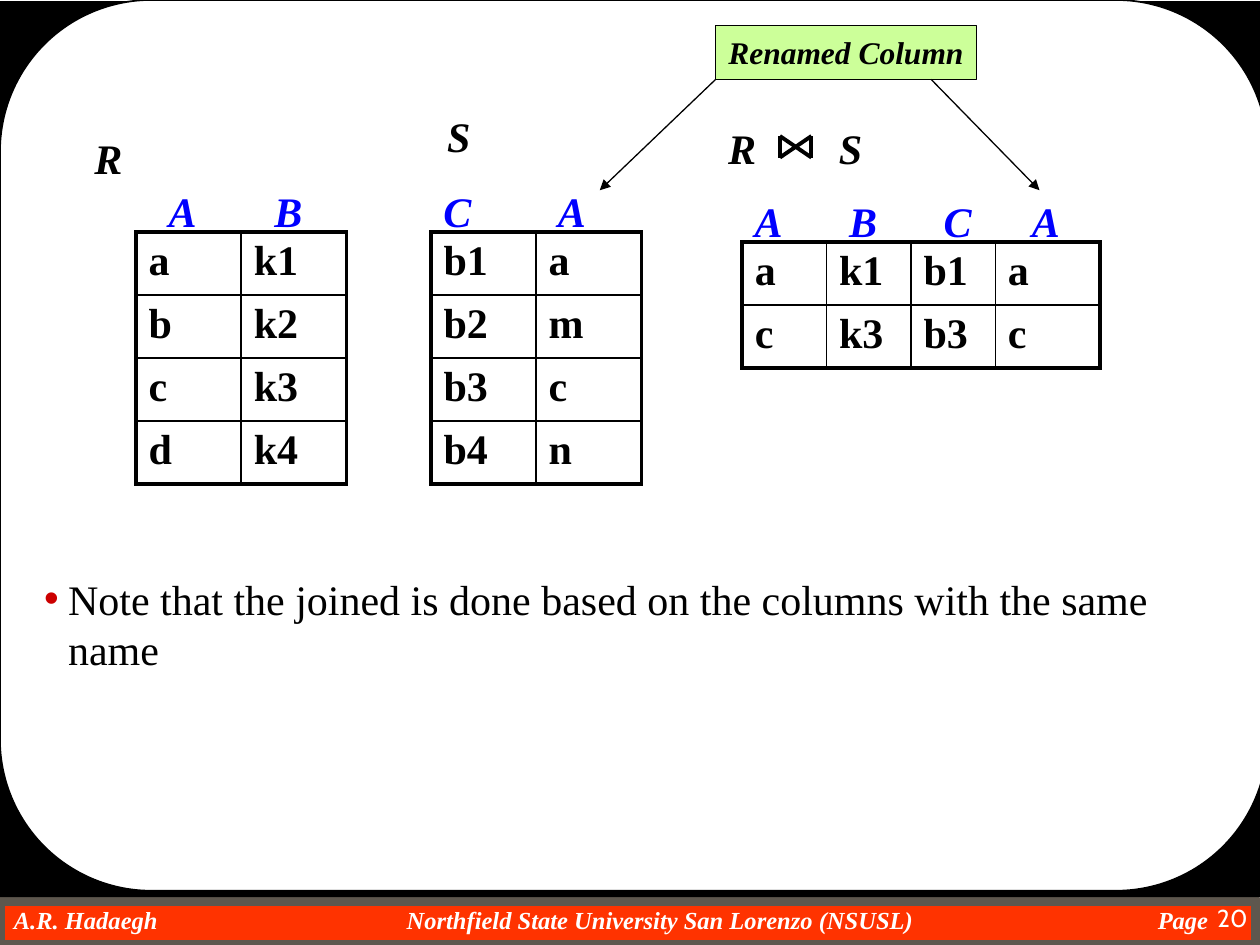
from lxml.etree import SubElement
from pptx import Presentation
from pptx.dml.color import RGBColor
from pptx.enum.shapes import MSO_CONNECTOR as Connector, MSO_SHAPE as Preset
from pptx.enum.text import MSO_ANCHOR as Anchor, MSO_AUTO_SIZE as AutoSize, PP_ALIGN as Align
from pptx.oxml import parse_xml
from pptx.oxml.ns import nsdecls, qn
from pptx.util import Inches, Pt

BLACK = RGBColor(0x00, 0x00, 0x00)
WHITE = RGBColor(0xFF, 0xFF, 0xFF)
BLUE = RGBColor(0x00, 0x00, 0xFF)
GREEN = RGBColor(0xCC, 0xFF, 0x99)
RED = RGBColor(0xFF, 0x33, 0x00)
BROWN = RGBColor(0x5E, 0x57, 0x4E)
BULLET = RGBColor(0xCC, 0x00, 0x00)
SERIF = "Times New Roman"

# The slide is a grid of 100 columns by 75 rows.
COLUMNS, ROWS = 100, 75
CELL = Inches(10) // COLUMNS
OUTER, INNER = 2.25, 1


def grid(*counts):
    """Turn counts of grid columns or rows into lengths."""
    return [round(count * CELL) for count in counts]


def write(frame, text, size=24, color=BLACK, bold=True, italic=True,
          font=SERIF, align=None, margin=None):
    """Put one formatted paragraph into a text frame and return it."""
    paragraph = frame.paragraphs[0]
    paragraph.alignment = align
    run = paragraph.add_run()
    run.text = text
    run.font.name, run.font.size = font, Pt(size)
    run.font.bold, run.font.italic = bold, italic
    run.font.color.rgb = color
    if margin is not None:
        frame.margin_left = frame.margin_right = margin
        frame.margin_top = frame.margin_bottom = margin
    return paragraph


def add_text(slide, box, text, wrap=False, **style):
    """Add a text box at a grid box and return its paragraph."""
    frame = slide.shapes.add_textbox(*grid(*box)).text_frame
    frame.word_wrap = wrap
    return write(frame, text, **style)


def add_box(slide, box, fill, line=None, width=1, preset=Preset.RECTANGLE):
    """Add a flat preset shape at a grid box."""
    shape = slide.shapes.add_shape(preset, *grid(*box))
    shape.shadow.inherit = False
    shape.fill.solid()
    shape.fill.fore_color.rgb = fill
    if line is None:
        shape.line.fill.background()
    else:
        shape.line.color.rgb, shape.line.width = line, Pt(width)
    return shape


def add_line(slide, start, end, width=0.75, arrow=False):
    """Add a straight black line, with an arrowhead at its end if asked."""
    line = slide.shapes.add_connector(Connector.STRAIGHT, *grid(*start, *end))
    line.line.color.rgb, line.line.width = BLACK, Pt(width)
    if arrow:
        SubElement(line.line._get_or_add_ln(), qn("a:tailEnd"), type="triangle")
    SubElement(line._element.spPr, qn("a:effectLst"))


def add_frame(slide):
    """Draw the footer bar and the rounded white page on black."""
    add_box(slide, (0, 71.5, 99.7, 3.5), RED, BROWN, 6)
    footer_left = 1.1
    footer = add_text(
        slide, (footer_left, 71.8, 98.6, 2.3),
        "A.R. Hadaegh\tNorthfield State University San Lorenzo (NSUSL)\tPage",
        wrap=True, size=14, color=WHITE, margin=0)
    tabs = SubElement(footer._p.get_or_add_pPr(), qn("a:tabLst"))
    for position, kind in ((52.4, "ctr"), (95.9, "r")):
        SubElement(tabs, qn("a:tab"), pos=str(grid(position - footer_left)[0]),
                   algn=kind)
    add_box(slide, (0, 0.1, COLUMNS, 71.1), BLACK)
    page = add_box(slide, (0, 0, 100.6, 70.7), WHITE, BLACK, 1,
                   Preset.ROUNDED_RECTANGLE)
    page.adjustments[0] = 0.17
    add_text(slide, (92.5, 71.2, 7.5, 3.8), "20", wrap=True, size=14, color=WHITE,
             bold=False, italic=False, font="Cabin", align=Align.RIGHT)


def add_note(slide, box, text):
    """Move the body placeholder to a grid box and fill it with one bullet."""
    body = slide.placeholders[1]
    body.left, body.top, body.width, body.height = grid(*box)
    body._element.getparent().append(body._element)
    frame = body.text_frame
    frame.auto_size, frame.vertical_anchor = AutoSize.NONE, Anchor.TOP
    paragraph = write(frame, text, bold=False, italic=False)
    paragraph.space_before = Pt(0)
    properties = paragraph._p.get_or_add_pPr()
    indent = grid(1.9)[0]
    properties.set("marL", str(indent))
    properties.set("indent", str(-indent))
    color = SubElement(properties, qn("a:buClr"))
    SubElement(color, qn("a:srgbClr"), val=str(BULLET))
    SubElement(properties, qn("a:buChar"), char="\u2022")


def set_borders(cell, widths):
    """Give a cell black borders, in the order left, right, top, bottom."""
    properties = cell._tc.get_or_add_tcPr()
    for index, (side, width) in enumerate(zip("LRTB", widths)):
        properties.insert(index, parse_xml(
            f'<a:ln{side} {nsdecls("a")} w="{Pt(width)}"><a:solidFill>'
            f'<a:srgbClr val="{BLACK}"/></a:solidFill></a:ln{side}>'))


def add_relation(slide, left, top, widths, records, labels):
    """Draw a relation as a table with its column names above it.

    labels pairs each column name with its distance from the left edge."""
    row_height = 5
    last_row, last_column = len(records) - 1, len(widths) - 1
    table = slide.shapes.add_table(
        len(records), len(widths),
        *grid(left, top, sum(widths), row_height * len(records))).table
    table.first_row = table.horz_banding = False
    for column, width in zip(table.columns, grid(*widths)):
        column.width = width
    for y, record in enumerate(records):
        for x, value in enumerate(record):
            cell = table.cell(y, x)
            cell.fill.background()
            write(cell.text_frame, value, italic=False)
            edges = (x == 0, x == last_column, y == 0, y == last_row)
            set_borders(cell, [OUTER if edge else INNER for edge in edges])
    for name, offset in labels:
        add_text(slide, (left + offset, top - 4.2, 4.2, 5), name, color=BLUE)


def add_join_symbol(slide, left, top, width, height):
    """Draw the bow tie of a natural join."""
    right, bottom = left + width, top + height
    for start, end in (((left, top), (right, bottom)), ((left, bottom), (right, top)),
                       ((right, top), (right, bottom)), ((left, top), (left, bottom))):
        add_line(slide, start, end, OUTER)


def add_callout(slide, left, top, width, height, text, arrows):
    """Draw a labelled box with arrows; each has a start offset and an end point."""
    shape = add_box(slide, (left, top, width, height), GREEN, BLACK, 0.75)
    shape.text_frame.word_wrap = False
    shape.text_frame.vertical_anchor = Anchor.MIDDLE
    write(shape.text_frame, text, size=18, align=Align.CENTER)
    for offset, end in arrows:
        add_line(slide, (left + offset, top + height), end, arrow=True)


def build_slide(presentation):
    """Compose the natural join example."""
    slide = presentation.slides.add_slide(presentation.slide_layouts[1])
    title = slide.shapes.title._element
    title.getparent().remove(title)
    add_frame(slide)
    add_note(slide, (2.5, 45, 94.2, 9),
             "Note that the joined is done based on the columns with the same name")
    add_relation(slide, 10.8, 18.4, [8.35] * 2,
                 [("a", "k1"), ("b", "k2"), ("c", "k3"), ("d", "k4")],
                 [("A", 1.6), ("B", 10)])
    add_relation(slide, 34.2, 18.4, [8.35] * 2,
                 [("b1", "a"), ("b2", "m"), ("b3", "c"), ("b4", "n")],
                 [("C", 0), ("A", 9.1)])
    add_relation(slide, 58.9, 19.2, [6.7, 6.7, 6.7, 8.3],
                 [("a", "k1", "b1", "a"), ("c", "k3", "b3", "c")],
                 [("A", 0), ("B", 7.5), ("C", 15), ("A", 22)])
    for name, left, top in (("R", 6.5, 10), ("S", 34.5, 8.3),
                            ("R", 56.8, 9.2), ("S", 65.6, 9.2)):
        add_text(slide, (left, top, 4.2, 5), name)
    add_join_symbol(slide, 61.9, 10.8, 2.5, 1.7)
    add_callout(slide, 56.8, 2, 20.7, 4.3, "Renamed Column",
                [(0, (47.6, 15.1)), (17.1, (82.5, 15.1))])


presentation = Presentation()
presentation.slide_width, presentation.slide_height = grid(COLUMNS, ROWS)
build_slide(presentation)
presentation.save("out.pptx")
